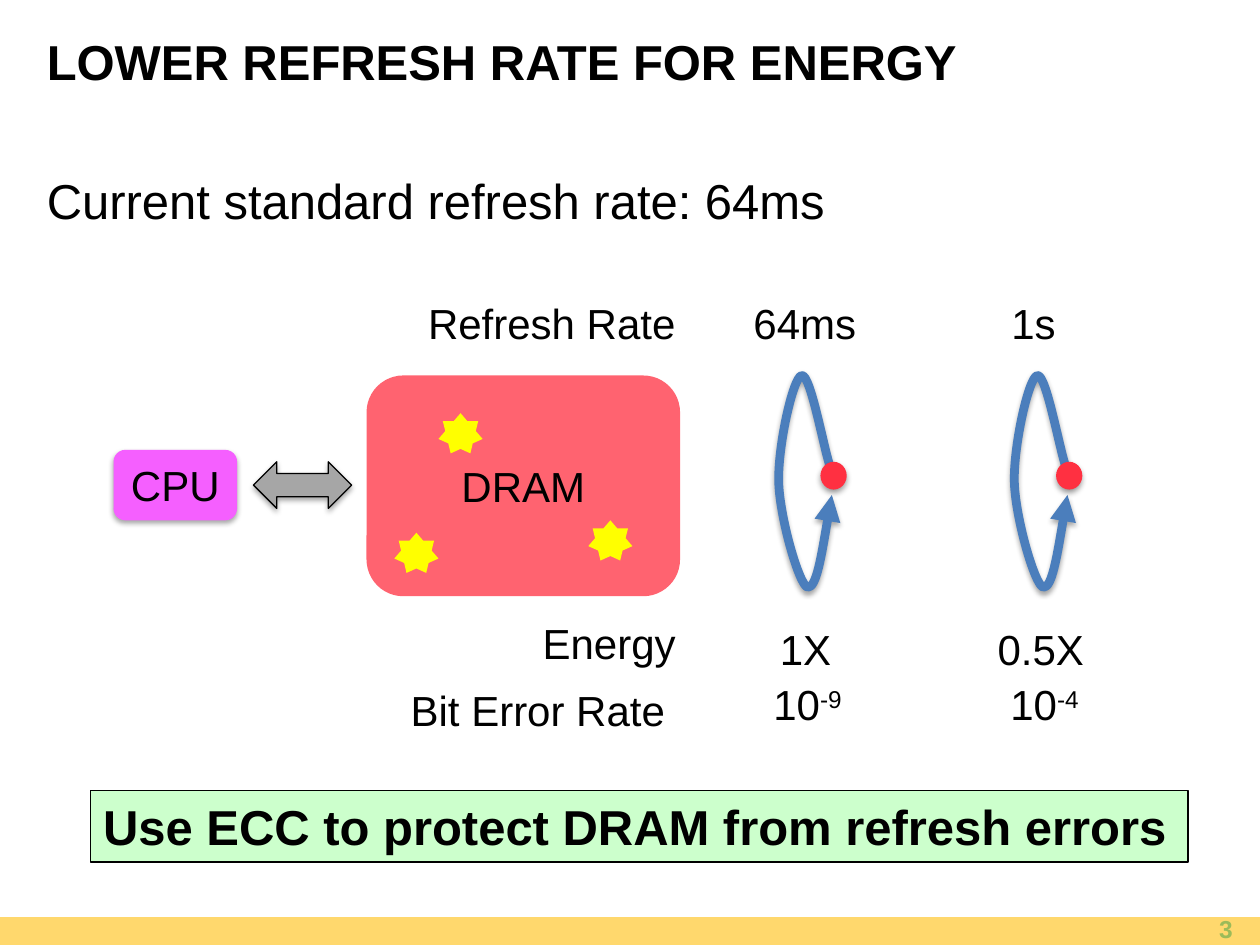
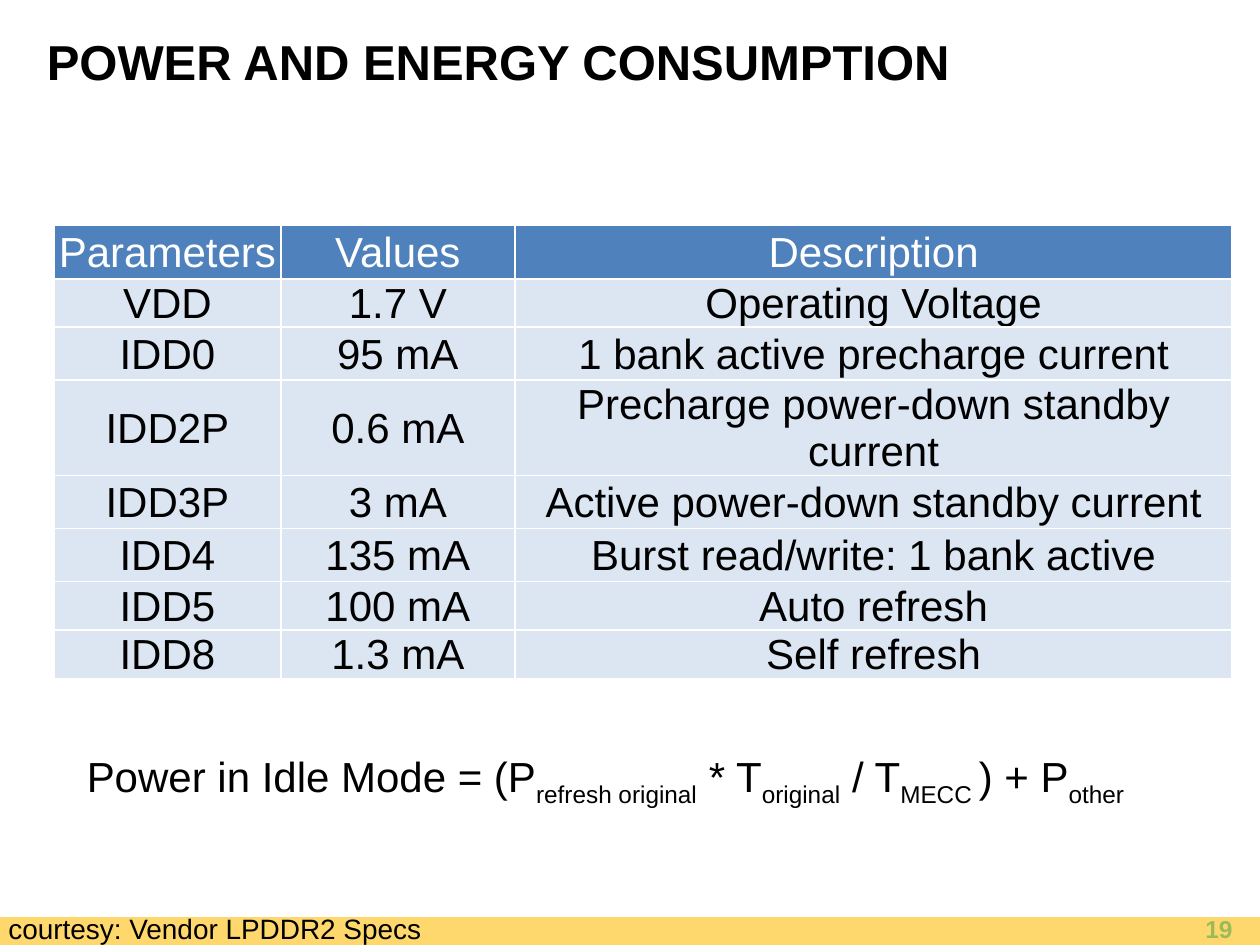
from lxml.etree import SubElement
from pptx import Presentation
from pptx.dml.color import RGBColor
from pptx.enum.shapes import MSO_SHAPE as Shape
from pptx.enum.text import MSO_ANCHOR as Anchor, MSO_AUTO_SIZE as AutoSize, PP_ALIGN as Align
from pptx.oxml.ns import qn
from pptx.util import Cm, Pt

# Shared look
FONT = "Arial"
BLACK, WHITE = "000000", "FFFFFF"
BAND, PAGE_GREEN = "FFD86D", "9BBB59"
RED, PURPLE, GREY = "FF3041", "F55FFF", "A6A6A6"
YELLOW, MINT, LOOP_BLUE = "FFFF00", "CCFFCC", "4B7EBC"
HEADER_BLUE, ROW_BLUE = "4F81BD", "DCE6F2"
SUPER, SUB = 30, -25

# Refresh loop: start point, then three Bezier points per curve, in 0.01 cm
LOOP_POINTS = [
    (107, 208),
    (109, 213), (114, 218), (104, 185),
    (91, 150), (64, -5), (46, 0),
    (28, 5), (-3, 147), (0, 218),
    (3, 290), (41, 422), (58, 427),
    (76, 429), (91, 335), (107, 241),
]
CURRENTS = [
    ("Parameters", "Values", "Description"),
    ("VDD", "1.7 V", "Operating Voltage"),
    ("IDD0", "95 mA", "1 bank active precharge current"),
    ("IDD2P", "0.6 mA", "Precharge power-down standby current"),
    ("IDD3P", "3 mA", "Active power-down standby current"),
    ("IDD4", "135 mA", "Burst read/write: 1 bank active"),
    ("IDD5", "100 mA", "Auto refresh"),
    ("IDD8", "1.3 mA", "Self refresh"),
]
COLUMN_WIDTHS = [4.57, 4.72, 14.46]
ROW_HEIGHTS = [1.07, 0.81, 1.07, 1.07, 1.07, 1.07, 0.56, 0.56]


def rgb(value):
    return RGBColor.from_string(value)


def cm(*lengths):
    return [Cm(length) for length in lengths]


def style_font(font, size, color=BLACK, bold=False):
    font.name, font.size, font.bold = FONT, Pt(size), bold
    font.color.rgb = rgb(color)


def write(frame, text, size, color=BLACK, bold=False, align=Align.LEFT, anchor=Anchor.TOP):
    """Text is a string, or a list of (string, baseline percent) runs."""
    frame.word_wrap = True
    frame.auto_size = AutoSize.NONE
    frame.vertical_anchor = anchor
    paragraph = frame.paragraphs[0]
    if isinstance(text, str):
        paragraph.text = text
    else:
        for part, baseline in text:
            run = paragraph.add_run()
            run.text = part
            if baseline:
                run.font._element.set("baseline", str(baseline * 1000))
    paragraph.alignment = align
    for run in paragraph.runs:
        style_font(run.font, size, color, bold)
    return paragraph


def label(slide, box, text, size=24, **style):
    textbox = slide.shapes.add_textbox(*cm(*box))
    write(textbox.text_frame, text, size, **style)
    return textbox


def cast_shadow(shape):
    effects = shape._element.spPr.find(qn("a:effectLst"))
    outer = SubElement(effects, qn("a:outerShdw"), blurRad="40000", dist="23000",
                       dir="5400000", rotWithShape="0")
    color = SubElement(outer, qn("a:srgbClr"), val=BLACK)
    SubElement(color, qn("a:alpha"), val="35000")


def block(slide, kind, box, fill, line=None, shadow=False, opacity=None):
    shape = slide.shapes.add_shape(kind, *cm(*box))
    shape.shadow.inherit = False
    shape.fill.solid()
    shape.fill.fore_color.rgb = rgb(fill)
    if opacity:
        color = shape._element.spPr.find(qn("a:solidFill"))[0]
        SubElement(color, qn("a:alpha"), val=str(opacity * 1000))
    if line:
        shape.line.color.rgb = rgb(line)
        shape.line.width = Pt(0.75)
    else:
        shape.line.fill.background()
    if shadow:
        cast_shadow(shape)
    return shape


def refresh_loop(slide, left, top):
    builder = slide.shapes.build_freeform(*LOOP_POINTS[0], scale=Cm(0.01))
    builder.add_line_segments(LOOP_POINTS[1:], close=False)
    loop = builder.convert_to_shape(*cm(left, top))
    # Turn each three straight segments into one curve
    outline = loop._element.spPr.find(".//" + qn("a:path"))
    segments = outline.findall(qn("a:lnTo"))
    for first in range(0, len(segments), 3):
        curve = SubElement(outline, qn("a:cubicBezTo"))
        for segment in segments[first:first + 3]:
            curve.append(segment[0])
            outline.remove(segment)
    loop.fill.background()
    loop.line.color.rgb = rgb(LOOP_BLUE)
    loop.line.width = Pt(5)
    SubElement(loop.line._get_or_add_ln(), qn("a:tailEnd"), type="triangle")
    loop.shadow.inherit = False
    cast_shadow(loop)
    block(slide, Shape.OVAL, (left + 0.84, top + 1.74, 0.53, 0.56), RED, shadow=True)


def add_band(deck, slide):
    """Draw the footer band and move it to the master, behind every slide."""
    band = block(slide, Shape.RECTANGLE, (0, 18.49, 25.4, 0.56), BAND)
    band.element.nvSpPr.cNvPr.set("id", "20")
    deck.slide_master.shapes.element.insert(2, band.element)


def new_slide(deck, layout, title, number):
    slide = deck.slides.add_slide(deck.slide_layouts.get_by_name(layout))
    heading = slide.shapes.title
    heading.left, heading.top, heading.width, heading.height = cm(0.69, 0.56, 23.29, 1.35)
    write(heading.text_frame, title, 28, bold=True, anchor=Anchor.MIDDLE)
    label(slide, (19.18, 18.41, 5.92, 0.64), number, 14, color=PAGE_GREEN, bold=True,
          align=Align.RIGHT, anchor=Anchor.MIDDLE)
    return slide


def cell_border(cell):
    properties = cell._tc.get_or_add_tcPr()
    for index, side in enumerate(("lnL", "lnR", "lnT", "lnB")):
        line = SubElement(properties, qn("a:" + side), w="12700")
        SubElement(SubElement(line, qn("a:solidFill")), qn("a:srgbClr"), val=WHITE)
        properties.insert(index, line)


def current_table(slide):
    box = cm(1.09, 4.55, sum(COLUMN_WIDTHS), sum(ROW_HEIGHTS))
    table = slide.shapes.add_table(len(CURRENTS), len(COLUMN_WIDTHS), *box).table
    for column, width in zip(table.columns, COLUMN_WIDTHS):
        column.width = Cm(width)
    for r, (height, texts) in enumerate(zip(ROW_HEIGHTS, CURRENTS)):
        table.rows[r].height = Cm(height)
        fill, color = (ROW_BLUE, BLACK) if r else (HEADER_BLUE, WHITE)
        for c, text in enumerate(texts):
            cell = table.cell(r, c)
            cell.margin_left = cell.margin_right = cell.margin_top = Cm(0.03)
            cell.margin_bottom = 0
            cell.vertical_anchor = Anchor.MIDDLE
            cell.fill.solid()
            cell.fill.fore_color.rgb = rgb(fill)
            cell_border(cell)
            paragraph = cell.text_frame.paragraphs[0]
            paragraph.text = text
            paragraph.alignment = Align.CENTER
            style_font(paragraph.runs[0].font, 24, color)


def refresh_slide(deck):
    slide = new_slide(deck, "Title and Content", "LOWER REFRESH RATE FOR ENERGY", "3")
    add_band(deck, slide)

    # Lead sentence, without a bullet
    lead = slide.placeholders[1]
    lead.left, lead.top, lead.width, lead.height = cm(0.69, 3.3, 23.29, 1.47)
    paragraph = write(lead.text_frame, "Current standard refresh rate: 64ms", 28)
    paragraph.space_before = Pt(0)
    properties = paragraph._p.get_or_add_pPr()
    properties.set("marL", "0")
    properties.set("indent", "0")
    SubElement(properties, qn("a:buNone"))

    # CPU, bus and DRAM with its faulty cells
    block(slide, Shape.LEFT_RIGHT_ARROW, (5.11, 9.31, 1.98, 0.94), GREY, BLACK, shadow=True)
    dram = block(slide, Shape.ROUNDED_RECTANGLE, (7.39, 7.57, 6.32, 4.45), RED, opacity=75)
    cpu = block(slide, Shape.ROUNDED_RECTANGLE, (2.29, 9.07, 2.49, 1.42), PURPLE, shadow=True)
    for chip, name in ((dram, "DRAM"), (cpu, "CPU")):
        write(chip.text_frame, name, 24, align=Align.CENTER, anchor=Anchor.MIDDLE)
    for left, top in ((7.95, 10.74), (8.84, 8.33), (11.86, 10.49)):
        block(slide, Shape.STAR_7_POINT, (left, top, 0.89, 0.81), YELLOW)

    # Loops and the figures around them
    for left in (15.7, 20.45):
        refresh_loop(slide, left, 7.57)
    for left, top, width, text in (
        (8.38, 5.87, 5.6, "Refresh Rate"), (14.94, 5.87, 2.65, "64ms"), (20.14, 5.87, 1.45, "1s"),
        (10.69, 12.32, 3.25, "Energy"), (15.47, 12.45, 1.75, "1X"), (19.86, 12.45, 2.3, "0.5X"),
        (8.03, 13.67, 5.75, "Bit Error Rate"),
        (15.34, 13.56, 2, [("10", 0), ("-9", SUPER)]),
        (20.12, 13.56, 2, [("10", 0), ("-4", SUPER)]),
    ):
        label(slide, (left, top, width, 1.27), text)

    # Conclusion
    conclusion = block(slide, Shape.RECTANGLE, (1.83, 15.93, 22.12, 1.45), MINT, BLACK)
    write(conclusion.text_frame, "Use ECC to protect DRAM from refresh errors", 28, bold=True)


def power_slide(deck):
    slide = new_slide(deck, "Title Only", "POWER AND ENERGY CONSUMPTION", "19")
    current_table(slide)
    label(slide, (1.5, 15.01, 22.66, 1.27), [
        ("Power in Idle Mode = (P", 0), ("refresh original", SUB),
        (" * T", 0), ("original", SUB),
        (" / T", 0), ("MECC ", SUB),
        (") + P", 0), ("other", SUB),
    ])
    credit = label(slide, (0, 18.26, 10.4, 0.79), "courtesy: Vendor LPDDR2 Specs", 16)
    credit.text_frame.margin_left = Cm(0.17)


def main():
    deck = Presentation()
    deck.slide_width, deck.slide_height = cm(25.4, 19.05)
    refresh_slide(deck)
    power_slide(deck)
    deck.save("out.pptx")


if __name__ == "__main__":
    main()
